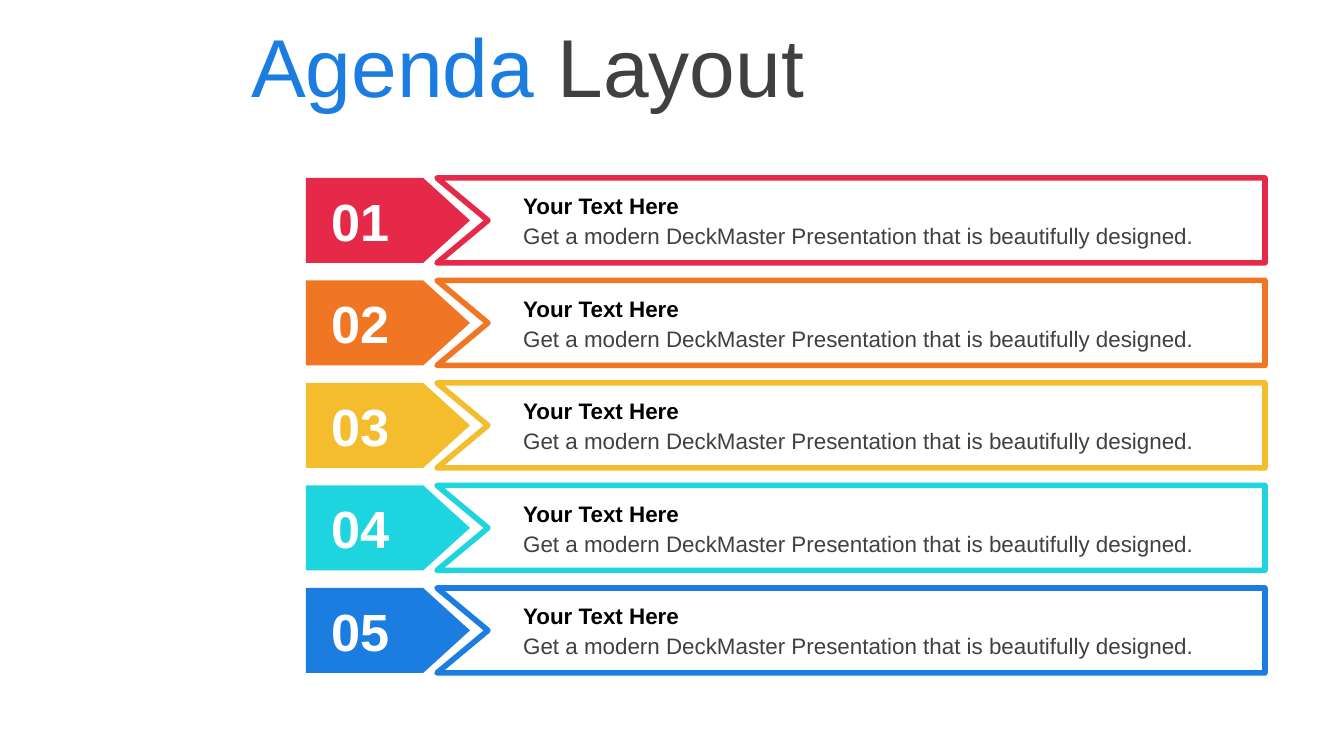
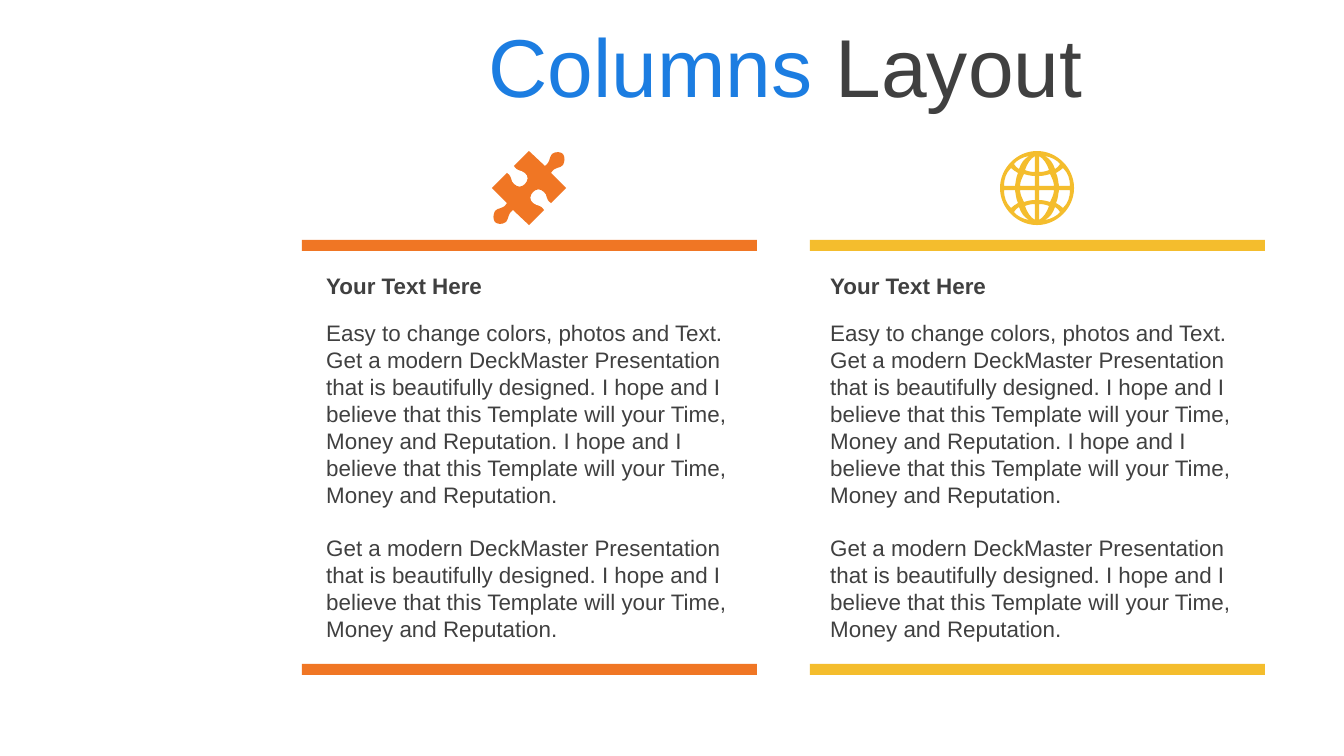
from dataclasses import dataclass

from pptx import Presentation
from pptx.dml.color import RGBColor
from pptx.enum.shapes import MSO_SHAPE
from pptx.enum.text import MSO_ANCHOR, MSO_AUTO_SIZE, PP_ALIGN
from pptx.oxml.ns import qn
from pptx.util import Pt

EMU_PER_PX = 914400 / 134.4
PAGE_WIDTH, PAGE_HEIGHT = 1344, 756


@dataclass(frozen=True)
class Theme:
    font: str = "Arial"
    red: str = "E62949"
    orange: str = "F07624"
    yellow: str = "F4BD2D"
    cyan: str = "1ED4DE"
    blue: str = "1C7DE1"
    dark: str = "404040"
    black: str = "000000"
    white: str = "FFFFFF"
    title_size: int = 44
    number_size: int = 28
    text_size: int = 12
    line_height: float = 14.4
    outline: int = 3


THEME = Theme()

HEADING = "Your Text Here"
DETAIL = "Get a modern DeckMaster Presentation that is beautifully designed."
PROMISE = "I hope and I believe that this Template will your Time, Money and Reputation."

AGENDA_TITLE = ("Agenda", " Layout")
AGENDA_ROWS = [
    ("01", THEME.red, HEADING, DETAIL),
    ("02", THEME.orange, HEADING, DETAIL),
    ("03", THEME.yellow, HEADING, DETAIL),
    ("04", THEME.cyan, HEADING, DETAIL),
    ("05", THEME.blue, HEADING, DETAIL),
]

COLUMNS_TITLE = ("Columns ", "Layout")
COLUMN_BODY = [
    f"Easy to change colors, photos and Text. {DETAIL} {PROMISE} {PROMISE}",
    f"{DETAIL} {PROMISE}",
]
COLUMNS = [
    ("puzzle", THEME.orange, HEADING, COLUMN_BODY),
    ("globe", THEME.yellow, HEADING, COLUMN_BODY),
]

# Icon outlines, in px from the icon centre. A step of one point is a line,
# a step of three points is a cubic curve.
PUZZLE_HALF = [
    [(34, -34)],
    [(36, -31), (36, -27), (34, -23)],
    [(31, -19), (26, -22), (22, -15)],
    [(37, 0)],
    [(22, 15)],
    [(16, 11), (19, 7), (15, 4)],
    [(11, 0), (7, 1), (4, 4)],
    [(1, 7), (0, 12), (4, 15)],
    [(9, 19), (11, 16), (15, 22)],
    [(0, 37)],
    [(-16, 22)],
    [(-22, 27), (-19, 28), (-23, 34)],
    [(-27, 37), (-32, 36), (-34, 34)],
]
GLOBE_RIM = [
    [(37, 0)],
    [(37, 20), (20, 37), (0, 37)],
    [(-20, 37), (-37, 20), (-37, 0)],
    [(-37, -20), (-20, -37), (0, -37)],
    [(20, -37), (37, -20), (37, 0)],
]
GLOBE_QUADRANT = [
    [[(2, 2)], [(2, 12)], [(6, 12), (10, 13), (13, 14)], [(15, 10), (17, 6), (17, 2)]],
    [[(22, 2)], [(21, 7), (21, 11), (19, 15)], [(22, 17), (24, 18), (26, 20)],
     [(31, 15), (33, 9), (33, 2)]],
    [[(2, 16)], [(2, 32)], [(7, 29), (10, 24), (12, 18)], [(10, 17), (6, 16), (2, 16)]],
    [[(18, 19)], [(16, 25), (13, 29), (8, 32)], [(14, 31), (20, 28), (23, 24)],
     [(22, 22), (20, 20), (18, 19)]],
]


def emu(px):
    return round(px * EMU_PER_PX)


def set_values(target, values):
    for name, value in values.items():
        setattr(target, name, value)


def paint(shape, fill, line=None):
    shape.shadow.inherit = False
    shape.fill.solid()
    shape.fill.fore_color.rgb = RGBColor.from_string(fill)
    if line:
        shape.line.color.rgb = RGBColor.from_string(line)
        shape.line.width = Pt(THEME.outline)
    else:
        shape.line.fill.background()


def add_block(page, kind, area, color):
    block = page.shapes.add_shape(kind, *map(emu, area))
    paint(block, color)
    return block


def transform(steps, scale_x=1, scale_y=1, shift_x=0, shift_y=0):
    return [[(x * scale_x + shift_x, y * scale_y + shift_y) for x, y in step]
            for step in steps]


def add_outline(page, contours, fill, line=None):
    """Draw closed contours of line and curve steps, in page px, as one freeform."""
    scaled = [transform(steps, EMU_PER_PX, EMU_PER_PX) for steps in contours]
    builder = page.shapes.build_freeform(*scaled[0][0][0], scale=1.0)
    for index, (start, *steps) in enumerate(scaled):
        if index:
            builder.move_to(*start[0])
        builder.add_line_segments([point for step in steps for point in step], close=True)
    outline = builder.convert_to_shape()
    bend(outline, [step for _, *steps in contours for step in steps])
    paint(outline, fill, line)


def bend(outline, steps):
    """Merge the three segments of each curve step into one cubic curve."""
    segments = iter(list(outline.element.iter(qn("a:lnTo"))))
    for step in steps:
        pieces = [next(segments) for _ in step]
        if len(pieces) == 1:
            continue
        curve = pieces[0].makeelement(qn("a:cubicBezTo"), {})
        pieces[0].addprevious(curve)
        for piece in pieces:
            curve.append(piece[0])
            piece.getparent().remove(piece)


def add_text(page, area, paragraphs, size, bold=False, align=PP_ALIGN.LEFT,
             frame_format=None, paragraph_format=None):
    """Add a text box; each paragraph is a list of (text, color) spans."""
    box = page.shapes.add_textbox(*map(emu, area))
    frame = box.text_frame
    set_values(frame, {"word_wrap": True, **(frame_format or {})})
    for index, spans in enumerate(paragraphs):
        para = frame.add_paragraph() if index else frame.paragraphs[0]
        set_values(para, {"alignment": align, **(paragraph_format or {})})
        if index:
            para.space_before = Pt(THEME.line_height)
        for text, color in spans:
            span = para.add_run()
            span.text = text
            set_values(span.font, {"name": THEME.font, "size": Pt(size), "bold": bold})
            span.font.color.rgb = RGBColor.from_string(color)


def add_copy(page, area, texts, color, bold=False):
    add_text(page, area, [[(text, color)] for text in texts], THEME.text_size, bold,
             frame_format={"auto_size": MSO_AUTO_SIZE.SHAPE_TO_FIT_TEXT},
             paragraph_format={"line_spacing": Pt(THEME.line_height)})


def add_title(page, words, left, align):
    add_text(page, (left, 0, PAGE_WIDTH - left, 130),
             [list(zip(words, (THEME.blue, THEME.dark)))], THEME.title_size, align=align,
             frame_format={"vertical_anchor": MSO_ANCHOR.MIDDLE})


def puzzle_contours():
    return [PUZZLE_HALF + transform(PUZZLE_HALF, -1, -1)[1:]]


def globe_contours():
    return [GLOBE_RIM] + [transform(cell, across, down)
                          for across in (1, -1) for down in (1, -1)
                          for cell in GLOBE_QUADRANT]


ICONS = {"puzzle": puzzle_contours, "globe": globe_contours}


def add_icon(page, name, center_x, center_y, color):
    add_outline(page, [transform(steps, shift_x=center_x, shift_y=center_y)
                       for steps in ICONS[name]()], color)


def build_agenda(page):
    first_top, last_top, height = 178, 588, 85
    frame_left, frame_right, notch = 437, 1265, 488
    pitch = (last_top - first_top) / (len(AGENDA_ROWS) - 1)
    add_title(page, AGENDA_TITLE, 238, PP_ALIGN.LEFT)
    for index, (number, color, heading, detail) in enumerate(AGENDA_ROWS):
        top = first_top + index * pitch
        bottom = top + height
        arrow = add_block(page, MSO_SHAPE.PENTAGON, (306, top, 164, height), color)
        arrow.adjustments[0] = 0.55
        corners = [(frame_left, top), (frame_right, top), (frame_right, bottom),
                   (frame_left, bottom), (notch, top + height / 2)]
        add_outline(page, [[[corner] for corner in corners]], THEME.white, color)
        add_text(page, (318, top + 11, 89, 63), [[(number, THEME.white)]],
                 THEME.number_size, bold=True,
                 frame_format={"vertical_anchor": MSO_ANCHOR.MIDDLE,
                               "margin_top": 0, "margin_bottom": 0,
                               "auto_size": MSO_AUTO_SIZE.SHAPE_TO_FIT_TEXT})
        add_copy(page, (510, top + 8, 712, 40), [heading], THEME.black, bold=True)
        add_copy(page, (510, top + 38, 712, 40), [detail], THEME.dark)


def build_columns(page):
    width, bar_height = 455, 11
    add_title(page, COLUMNS_TITLE, 227, PP_ALIGN.CENTER)
    for index, (icon, color, heading, body) in enumerate(COLUMNS):
        left = 302 + 508 * index
        text_left = 313 + 504 * index
        for top in (240, 664):
            add_block(page, MSO_SHAPE.RECTANGLE, (left, top, width, bar_height), color)
        add_copy(page, (text_left, 313, 440, 339), body, THEME.dark)
        add_copy(page, (text_left, 266, 440, 40), [heading], THEME.dark, bold=True)
        add_icon(page, icon, left + width // 2, 188, color)


def main():
    deck = Presentation()
    deck.slide_width, deck.slide_height = emu(PAGE_WIDTH), emu(PAGE_HEIGHT)
    blank = deck.slide_layouts[6]
    for build in (build_agenda, build_columns):
        build(deck.slides.add_slide(blank))
    deck.save("out.pptx")


if __name__ == "__main__":
    main()
